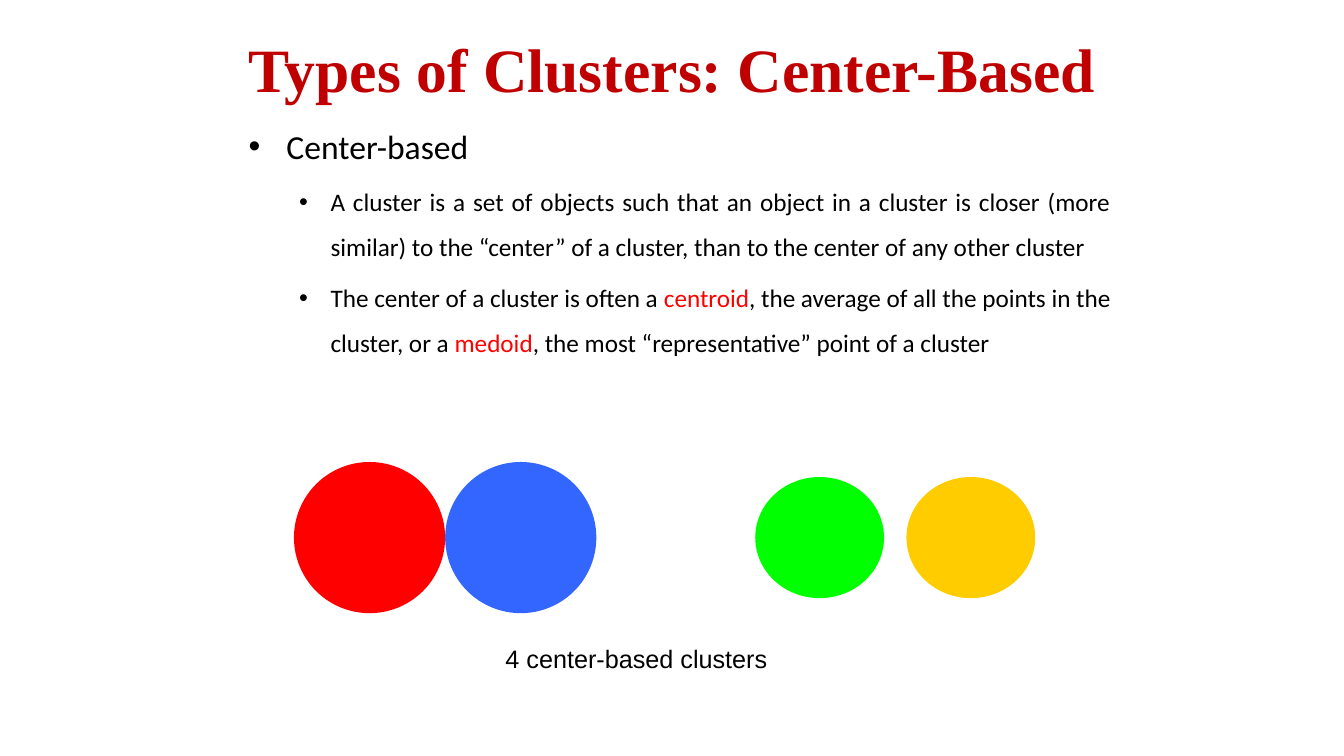
from lxml import etree
from pptx import Presentation
from pptx.dml.color import RGBColor
from pptx.enum import shapes, text
from pptx.oxml import ns
from pptx.util import Pt

DARK_RED = RGBColor(0xC0, 0x00, 0x00)
BLACK = RGBColor(0x00, 0x00, 0x00)
RED = RGBColor(0xFF, 0x00, 0x00)
BLUE = RGBColor(0x33, 0x66, 0xFF)
GREEN = RGBColor(0x00, 0xFF, 0x00)
GOLD = RGBColor(0xFF, 0xCC, 0x00)

POINTS = [
    [("A cluster is a set of objects such that an object in a cluster is closer "
      "(more similar) to the “center” of a cluster, than to the center of any "
      "other cluster", BLACK)],
    [("The center of a cluster is often a ", BLACK), ("centroid", RED),
     (", the average of all the points in the cluster, or a ", BLACK),
     ("medoid", RED),
     (", the most “representative” point of a cluster", BLACK)],
]


def add_frame(page, left, top, width, height):
    """Add a wrapping text box and return its text frame."""
    frame = page.shapes.add_textbox(Pt(left), Pt(top), Pt(width), Pt(height)).text_frame
    frame.word_wrap = True
    return frame


def set_font(font, name, size, color, bold=False):
    """Set the face, size, colour and weight of a font."""
    font.name, font.size, font.bold = name, Pt(size), bold
    font.color.rgb = color


def set_bullet(para, margin, hanging):
    """Give a paragraph a round bullet with a hanging indent."""
    properties = para._p.get_or_add_pPr()
    properties.set("marL", str(Pt(margin)))
    properties.set("indent", str(-Pt(hanging)))
    etree.SubElement(properties, ns.qn("a:buFont")).set("typeface", "Arial")
    etree.SubElement(properties, ns.qn("a:buChar")).set("char", "•")


def add_title(page, left, top, width, height):
    """Place the centred slide title."""
    frame = add_frame(page, left, top, width, height)
    frame.vertical_anchor = text.MSO_ANCHOR.MIDDLE
    para = frame.paragraphs[0]
    para.text = "Types of Clusters: Center-Based"
    para.alignment = text.PP_ALIGN.CENTER
    para.line_spacing = 0.9
    set_font(para.font, "Times New Roman", 44, DARK_RED, True)


def add_definition(page, left, top, width, height):
    """Place the heading bullet and its justified sub-points."""
    frame = add_frame(page, left, top, width, height)
    for level, spans in [(0, [("Center-based", BLACK)])] + [(1, spans) for spans in POINTS]:
        para = frame.paragraphs[0] if level == 0 else frame.add_paragraph()
        size = 18 if level else 24
        para.level = level
        para.line_spacing = 1.5
        para.space_before = Pt(0.2 * size)
        set_font(para.font, "Calibri", size, BLACK)
        if level:
            para.alignment = text.PP_ALIGN.JUSTIFY
            set_bullet(para, 58.5, 22.5)
        else:
            set_bullet(para, 27, 27)
        for wording, color in spans:
            span = para.add_run()
            span.text = wording
            set_font(span.font, "Calibri", size, color)


def add_cluster_pair(page, left, middle, width, height, colors):
    """Place two ellipses 108 points apart, centred on a horizontal line."""
    for index, color in enumerate(colors):
        cluster = page.shapes.add_shape(
            shapes.MSO_SHAPE.OVAL, Pt(left + 108 * index), Pt(middle - height / 2),
            Pt(width), Pt(height))
        cluster.shadow.inherit = False
        cluster.fill.solid()
        cluster.fill.fore_color.rgb = color
        cluster.line.fill.background()


def add_caption(page, left, top, width, height):
    """Place the caption under the clusters."""
    para = add_frame(page, left, top, width, height).paragraphs[0]
    para.text = "4 center-based clusters"
    para.space_before = Pt(9)
    set_font(para.font, "Arial", 18, BLACK)


def main():
    """Build the slide and save it."""
    deck = Presentation()
    deck.slide_width, deck.slide_height = Pt(960), Pt(540)
    page = deck.slides.add_slide(deck.slide_layouts[6])
    add_title(page, 154, 30, 652, 43.5)
    add_definition(page, 170.5, 72, 630, 402.5)
    add_cluster_pair(page, 210, 384, 108, 108, [RED, BLUE])
    add_cluster_pair(page, 539.5, 384, 92, 86.5, [GREEN, GOLD])
    add_caption(page, 354, 456, 252, 29)
    deck.save("out.pptx")


if __name__ == "__main__":
    main()
